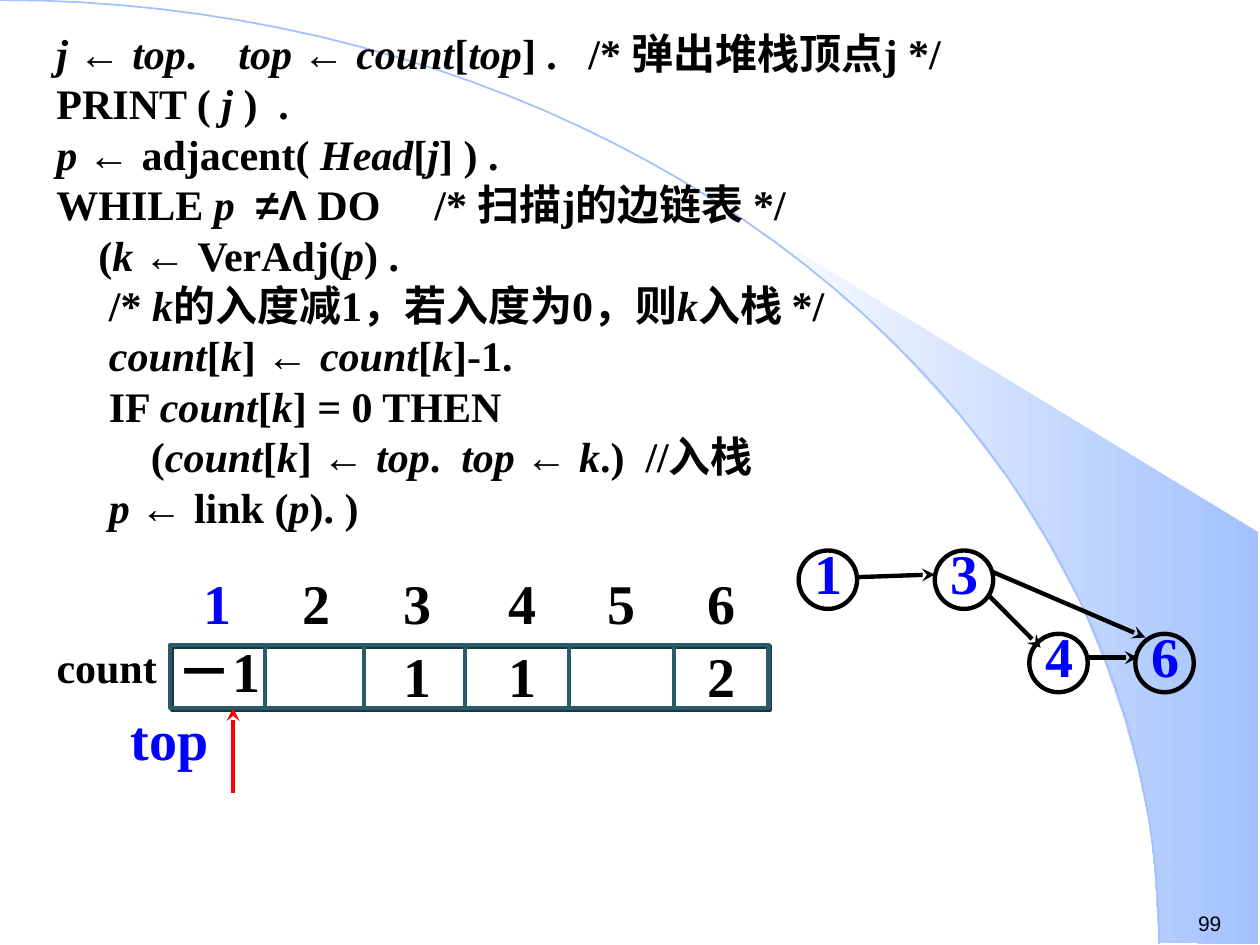
"""Build the topological sort slide with its stack array and directed graph."""
import math

import pptx
import pptx.dml.color
import pptx.enum.shapes
import pptx.enum.text
import pptx.oxml
import pptx.oxml.ns
import pptx.util

Pt = pptx.util.Pt
RGBColor = pptx.dml.color.RGBColor
Align = pptx.enum.text.PP_ALIGN
Shape = pptx.enum.shapes.MSO_SHAPE

BLACK = RGBColor(0x00, 0x00, 0x00)
WHITE = RGBColor(0xFF, 0xFF, 0xFF)
BLUE = RGBColor(0x00, 0x00, 0xFF)
RED = RGBColor(0xFF, 0x00, 0x00)
TEAL = RGBColor(0x29, 0x5A, 0x69)
DARK_TEAL = RGBColor(0x19, 0x36, 0x3F)
SKY = RGBColor(0xA2, 0xC1, 0xFE)

CODE = [
    "_j _~← ~_top_.    _top _~← ~_count_[_top_] .   /* 弹出堆栈顶点j */",
    "PRINT ( _j _)  .",
    "_p _~← ~adjacent( _Head_[_j_] ) .",
    "WHILE_ p  _~≠Λ~ DO\t/* 扫描j的边链表 */",
    "    (_k _~← ~VerAdj(_p_) .",
    "     /* _k_的入度减1，若入度为0，则_k_入栈 */",
    "_     count_[_k_] ~← ~_count_[_k_]-1.",
    "     IF _count_[_k_] = 0 THEN",
    "         (_count_[_k_] ~← ~_top_.  _top _~← ~_k_.)  //入栈",
    "_     p _~← ~link (_p_). )",
]
SWOOSH = [
    (662.4, 538.6), (719.3, 539.3), (719.3, 304.6), (424.1, 124.6),
    (449.3, 143.3), (470.2, 159.8), (493.2, 180), (515.5, 201.6),
    (548.6, 237.6), (578.2, 276.5), (599, 310.3), (617.8, 344.9),
    (632.2, 380.2), (643, 411.8), (650.2, 438.5), (657.4, 472.3),
    (660.2, 501.1),
]
NODES = {"4": (588.2, 362.2), "3": (534.2, 314.6), "6": (648.8, 362.2), "1": (456.4, 314.6)}
EDGES = [
    ((490.3, 329.8), (534.2, 328.3)), ((564.5, 339.8), (594.7, 370.1)),
    ((619.9, 375.8), (650.2, 375.8)), ((567.4, 326.9), (654.5, 364.3)),
]
ARRAY_LEFT, ARRAY_TOP, ARRAY_WIDTH, ARRAY_HEIGHT = 97.2, 368.6, 342, 36
DIVIDERS = [151.2, 208.1, 265.7, 325.4, 385.2]
LABEL_LEFTS = [97.2, 154.1, 211.7, 271.4, 328.3, 385.2]
CELL_VALUES = {3: "1", 4: "1", 6: "2"}


class Sketch:
    """Hold the style and the current slide."""

    face = "Times New Roman"
    symbol_face = "Arial"

    def __init__(self, page):
        self.page = page

    def add_effects(self, shape, inner=""):
        shape._element.spPr.append(pptx.oxml.parse_xml(
            f'<a:effectLst {pptx.oxml.ns.nsdecls("a")}>{inner}</a:effectLst>'))

    def box(self, left, top, width, height):
        frame = self.page.shapes.add_textbox(Pt(left), Pt(top), Pt(width), Pt(height)).text_frame
        frame.word_wrap = True
        return frame

    def text(self, words, left, top, width, height, size=32, color=BLACK,
             align=Align.CENTER, bold=True, face=face):
        para = self.box(left, top, width, height).paragraphs[0]
        para.text = words
        para.alignment = align
        font = para.font
        font.name, font.size, font.bold, font.color.rgb = face, Pt(size), bold, color

    def code(self, lines, left, top, width, height, size=24):
        frame = self.box(left, top, width, height)
        for index, line in enumerate(lines):
            para = frame.add_paragraph() if index else frame.paragraphs[0]
            para.alignment = Align.JUSTIFY
            para.font.size, para.font.bold, para.font.color.rgb = Pt(size), True, BLACK
            for turn, piece in enumerate(line.split("_")):
                for switch, words in enumerate(piece.split("~")):
                    if words:
                        span = para.add_run()
                        span.text = words
                        span.font.italic = turn % 2 == 1
                        span.font.name = self.symbol_face if switch % 2 else self.face

    def outline(self, kind, left, top, width, height, color):
        shape = self.page.shapes.add_shape(kind, Pt(left), Pt(top), Pt(width), Pt(height))
        shape.shadow.inherit = False
        shape.fill.background()
        shape.line.color.rgb, shape.line.width = color, Pt(2.5)
        return shape

    def freeform(self, points, close):
        points = [(Pt(x), Pt(y)) for x, y in points]
        builder = self.page.shapes.build_freeform(*points[0])
        builder.add_line_segments(points[1:], close=close)
        shape = builder.convert_to_shape()
        shape.shadow.inherit = False
        return shape

    def line(self, start, end, color=BLACK, width=2.5, arrow=True):
        ends = [Pt(value) for value in (*start, *end)]
        line = self.page.shapes.add_connector(pptx.enum.shapes.MSO_CONNECTOR.STRAIGHT, *ends)
        line.line.color.rgb, line.line.width = color, Pt(width)
        if arrow:
            line.line._get_or_add_ln().append(pptx.oxml.parse_xml(
                f'<a:tailEnd {pptx.oxml.ns.nsdecls("a")} type="stealth"/>'))
        self.add_effects(line)

    def backdrop(self):
        swoosh = self.freeform(SWOOSH, True)
        swoosh.line.fill.background()
        swoosh.fill.gradient()
        swoosh.fill.gradient_angle = 0
        for stop, color, place in zip(swoosh.fill.gradient_stops, (WHITE, SKY), (0, 1)):
            stop.color.rgb, stop.position = color, place
        turns = [math.radians(degree) for degree in range(0, 91, 2)]
        arc = self.freeform(
            [(662.4 * math.sin(turn), 539.3 * (1 - math.cos(turn))) for turn in turns], False)
        arc.fill.background()
        arc.line.color.rgb, arc.line.width = SKY, Pt(1)

    def node(self, name, left, top):
        self.outline(Shape.OVAL, left, top, 33.4, 33.4, BLACK)
        self.text(name, left + 2, top - 10.4, 24.5, 46, color=BLUE)

    def array(self):
        frame = self.outline(
            Shape.RECTANGLE, ARRAY_LEFT, ARRAY_TOP, ARRAY_WIDTH, ARRAY_HEIGHT, TEAL)
        frame._element.spPr.remove(frame._element.spPr.find(pptx.oxml.ns.qn("a:effectLst")))
        self.add_effects(
            frame, f'<a:outerShdw dist="{Pt(1.4)}" dir="2700000" algn="ctr" rotWithShape="0">'
                   f'<a:srgbClr val="{DARK_TEAL}"/></a:outerShdw>')
        for x in DIVIDERS:
            self.line((x, ARRAY_TOP), (x, ARRAY_TOP + ARRAY_HEIGHT), TEAL, 2.25, False)
        for index, left in enumerate(LABEL_LEFTS, 1):
            self.text(str(index), left, 321.1, 54, 46, color=BLUE if index == 1 else BLACK)
            if index in CELL_VALUES:
                self.text(CELL_VALUES[index], left, 362.9, 54, 46)
        self.text("－1", 85.7, 360, 77.8, 46)
        self.text("count", 25.2, 362.9, 90, 36, size=24, align=Align.LEFT)
        self.text("top", 67.7, 398.9, 72, 46, color=BLUE, align=Align.LEFT)
        self.line((133.2, 452.9), (133.2, 404.6), RED)


def main():
    deck = pptx.Presentation()
    deck.slide_width, deck.slide_height = Pt(720), Pt(540)
    sketch = Sketch(deck.slides.add_slide(deck.slide_layouts[6]))
    sketch.backdrop()
    sketch.text("99", 677.5, 517, 42.5, 21.6, size=12, align=Align.LEFT,
                bold=False, face=sketch.symbol_face)
    for name, (left, top) in NODES.items():
        sketch.node(name, left, top)
    for start, end in EDGES:
        sketch.line(start, end)
    sketch.array()
    sketch.code(CODE, 25.2, 12.2, 532.8, 295.2)
    deck.save("out.pptx")


if __name__ == "__main__":
    main()
